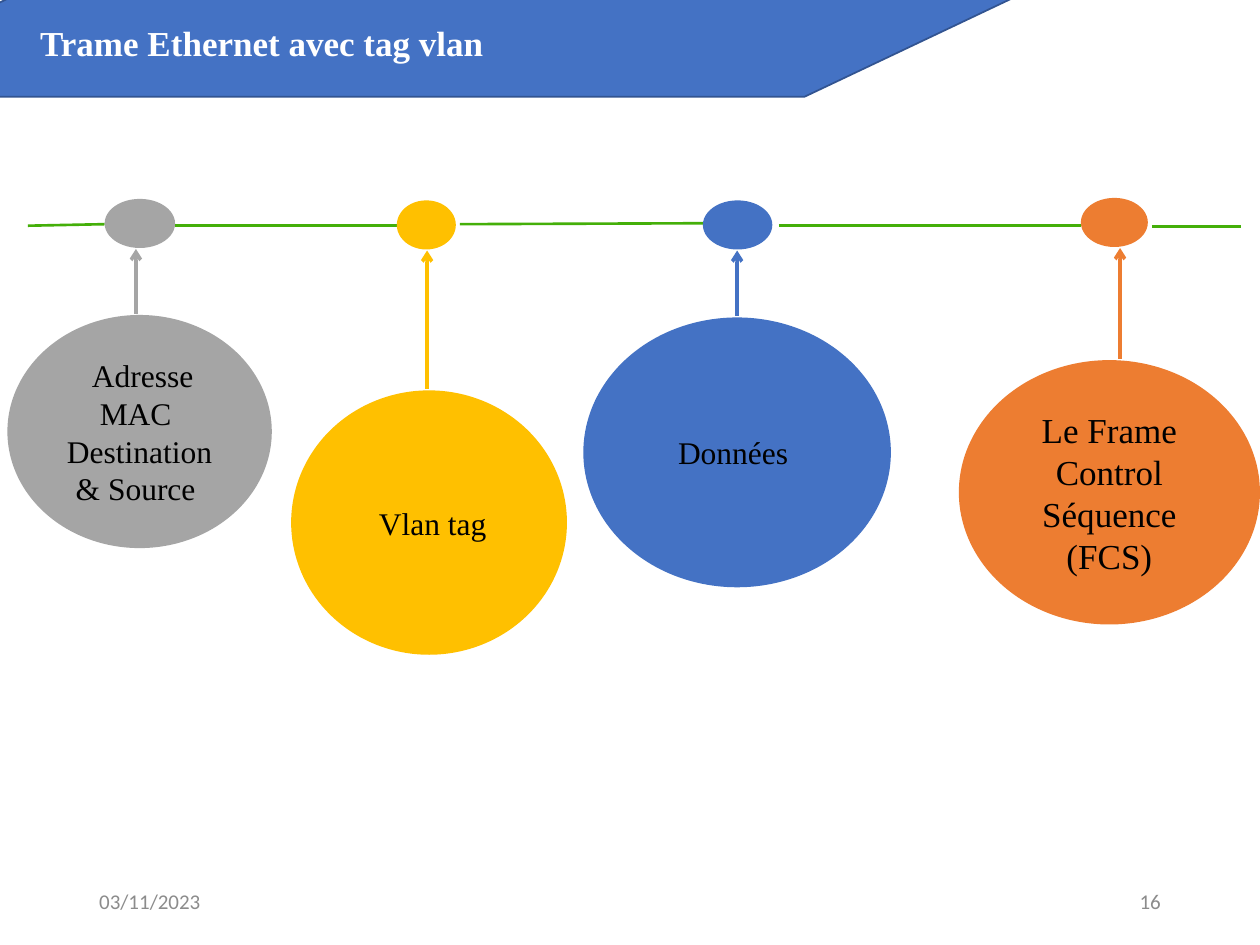
"""Build the slide on the Ethernet frame with a VLAN tag."""
import pptx
import pptx.dml.color
import pptx.enum.shapes
import pptx.enum.text
import pptx.oxml.ns
import pptx.util
from lxml import etree

Cm, Pt = pptx.util.Cm, pptx.util.Pt
RGBColor = pptx.dml.color.RGBColor
KIND = pptx.enum.shapes.MSO_SHAPE
LINK = pptx.enum.shapes.MSO_CONNECTOR.STRAIGHT
ALIGN = pptx.enum.text.PP_ALIGN
ANCHOR = pptx.enum.text.MSO_ANCHOR

GRAY = RGBColor(0xA5, 0xA5, 0xA5)
GOLD = RGBColor(0xFF, 0xC0, 0x00)
BLUE = RGBColor(0x44, 0x72, 0xC4)
ORANGE = RGBColor(0xED, 0x7D, 0x31)
GREEN = RGBColor(0x44, 0xAF, 0x09)
NAVY = RGBColor(0x32, 0x54, 0x91)
MUTED = RGBColor(0x8C, 0x8C, 0x8C)
WHITE = RGBColor(0xFF, 0xFF, 0xFF)
BLACK = RGBColor(0, 0, 0)

TITLE = "Trame Ethernet avec tag vlan"
FOOTER = [("03/11/2023", 1.75, ALIGN.LEFT), ("16", 17.93, ALIGN.RIGHT)]
DOT_H = 0.99
FIELDS = [
    dict(lines=[" Adresse MAC ", "Destination& Source "], size=18, color=GRAY,
         dot=(2.11, 4.01, 1.42), ball=(0.15, 6.35, 5.33, 4.7), stem=2.74),
    dict(lines=[" Vlan tag"], size=18, color=GOLD,
         dot=(8, 4.04, 1.19), ball=(5.87, 7.87, 5.56, 5.33), stem=8.61),
    dict(lines=["Données "], size=18, color=BLUE,
         dot=(14.17, 4.04, 1.4), ball=(11.76, 6.4, 6.2, 5.44), stem=14.86),
    dict(lines=["Le Frame Control Séquence (FCS)"], size=20, color=ORANGE,
         dot=(21.79, 3.99, 1.35), ball=(19.33, 7.26, 6.07, 5.33), stem=22.58),
]
RAIL = [
    (0.56, 4.55, 2.11, 4.52),
    (3.53, 4.55, 8, 4.55),
    (9.27, 4.52, 14.22, 4.5),
    (15.7, 4.55, 21.79, 4.55),
    (23.22, 4.57, 25.02, 4.57),
]


def write(shape, lines, size=18, font="Times New Roman", color=BLACK,
          bold=False, align=ALIGN.CENTER, anchor=ANCHOR.MIDDLE):
    frame = shape.text_frame
    frame.word_wrap = True
    frame.vertical_anchor = anchor
    for i, line in enumerate(lines):
        para = frame.add_paragraph() if i else frame.paragraphs[0]
        para.alignment = align
        run = para.add_run()
        run.text = line
        run.font.size = Pt(size)
        run.font.name = font
        run.font.bold = bold
        run.font.color.rgb = color


def draw(shapes, kind, box, fill, edge=None):
    shape = shapes.add_shape(kind, *map(Cm, box))
    shape.shadow.inherit = False
    shape.fill.solid()
    shape.fill.fore_color.rgb = fill
    if edge:
        shape.line.color.rgb = edge
        shape.line.width = Pt(1)
    else:
        shape.line.fill.background()
    return shape


def link(shapes, ends, color, width, arrow=False):
    line = shapes.add_connector(LINK, *map(Cm, ends))
    line.line.color.rgb = color
    line.line.width = Pt(width)
    qn = pptx.oxml.ns.qn
    props = line._element.spPr
    if arrow:
        etree.SubElement(props.find(qn("a:ln")), qn("a:tailEnd"), type="arrow")
    etree.SubElement(props, qn("a:effectLst"))


def main():
    deck = pptx.Presentation()
    deck.slide_width, deck.slide_height = Cm(25.4), Cm(19.05)
    shapes = deck.slides.add_slide(deck.slide_layouts[6]).shapes

    for text, left, align in FOOTER:
        box = shapes.add_textbox(Cm(left), Cm(17.65), Cm(5.72), Cm(1.02))
        write(box, [text], size=12, font="Calibri", color=MUTED, align=align)

    banner = draw(shapes, KIND.PARALLELOGRAM, (-4.01, -0.03, 24.41, 1.98),
                  BLUE, NAVY)
    banner.adjustments[0] = 2.11
    head = shapes.add_textbox(Cm(0.56), Cm(0.3), Cm(11.86), Cm(1.12))
    write(head, [TITLE], size=20, color=WHITE, bold=True,
          align=ALIGN.LEFT, anchor=ANCHOR.TOP)

    for ends in RAIL:
        link(shapes, ends, GREEN, 1.5)
    for field in FIELDS:
        color, stem = field["color"], field["stem"]
        dot, ball = field["dot"], field["ball"]
        draw(shapes, KIND.OVAL, (*dot, DOT_H), color)
        write(draw(shapes, KIND.OVAL, ball, color), field["lines"],
              size=field["size"])
        ends = (stem, ball[1] - 0.03, stem, dot[1] + DOT_H + 0.02)
        link(shapes, ends, color, 2, arrow=True)

    deck.save("out.pptx")


if __name__ == "__main__":
    main()
